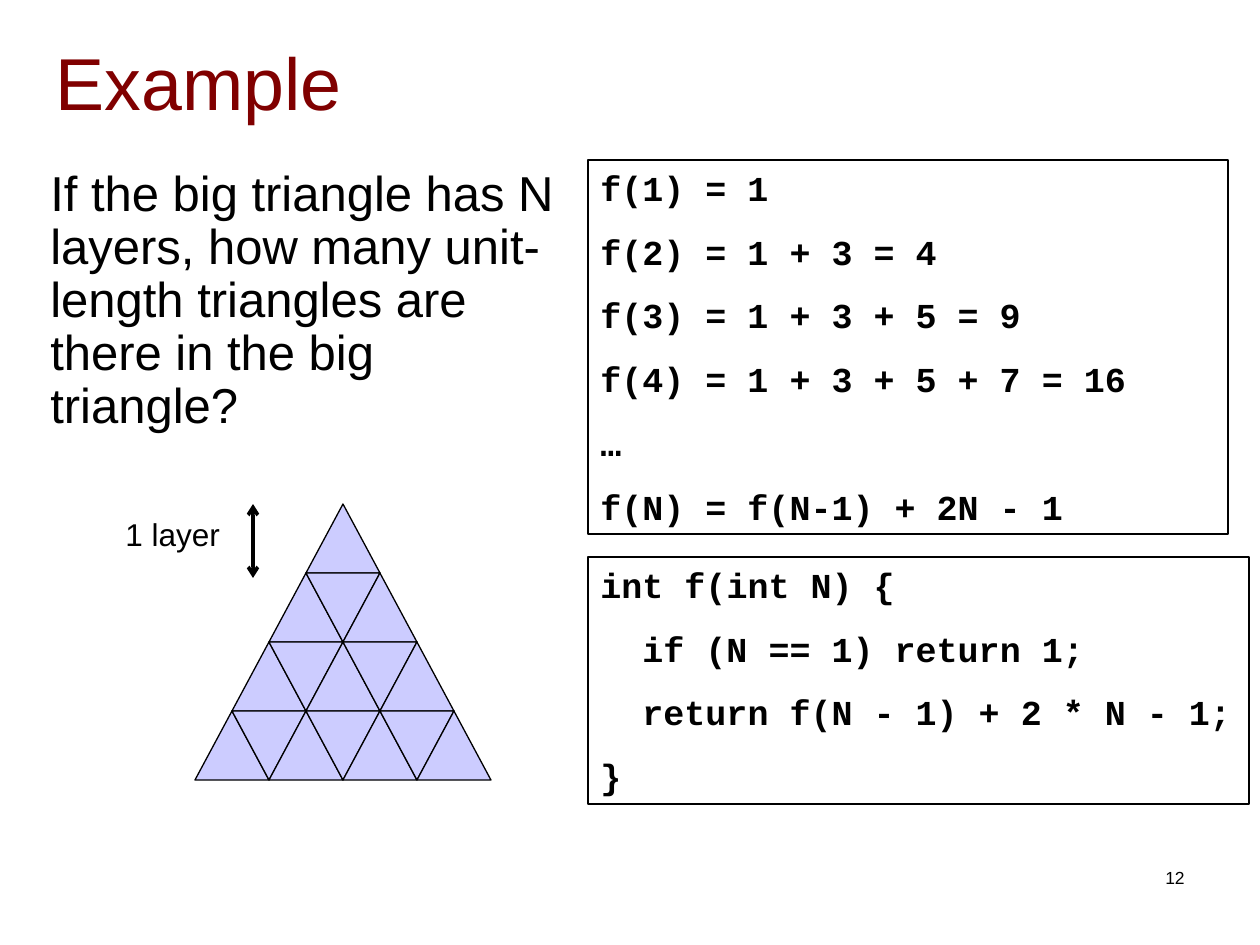
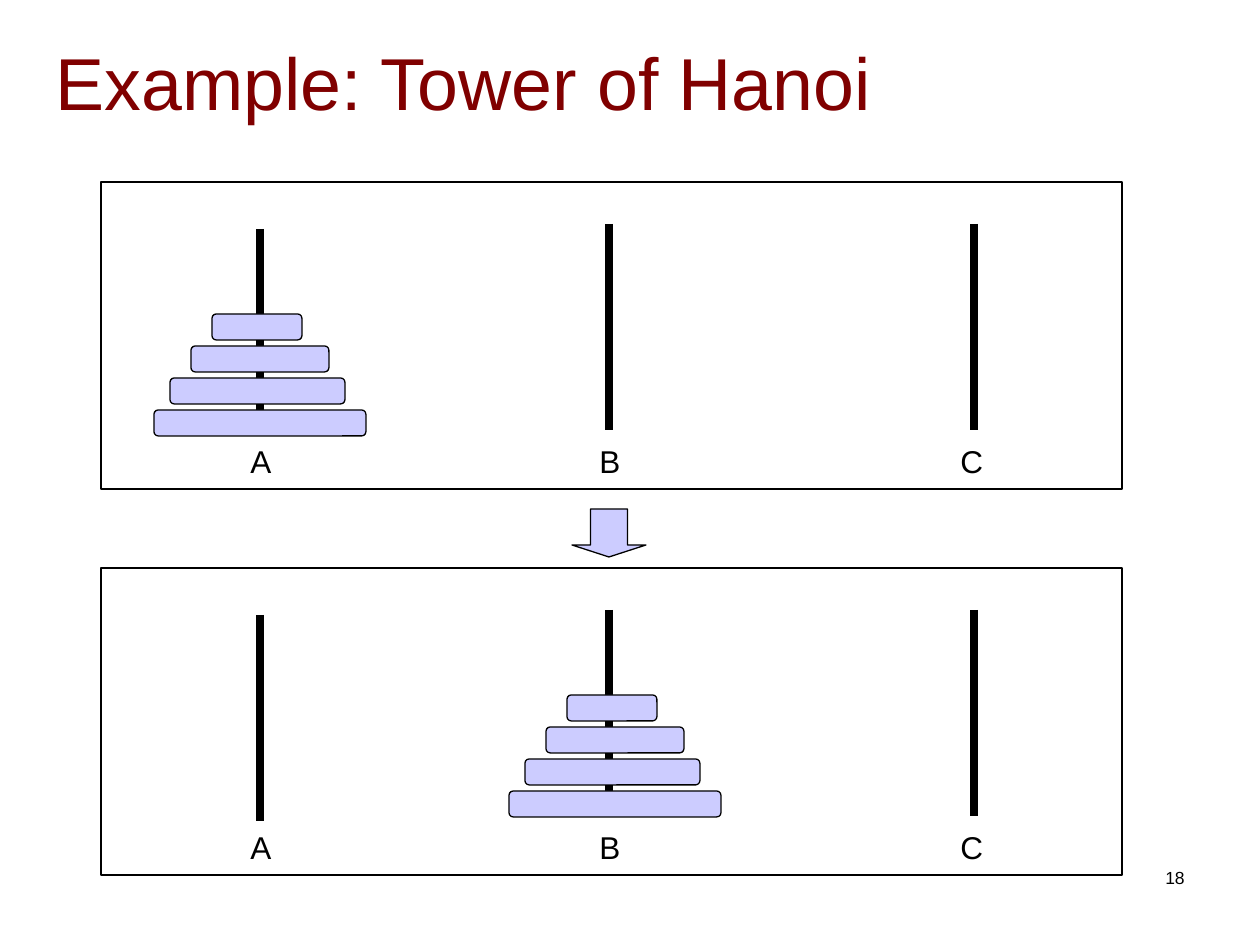
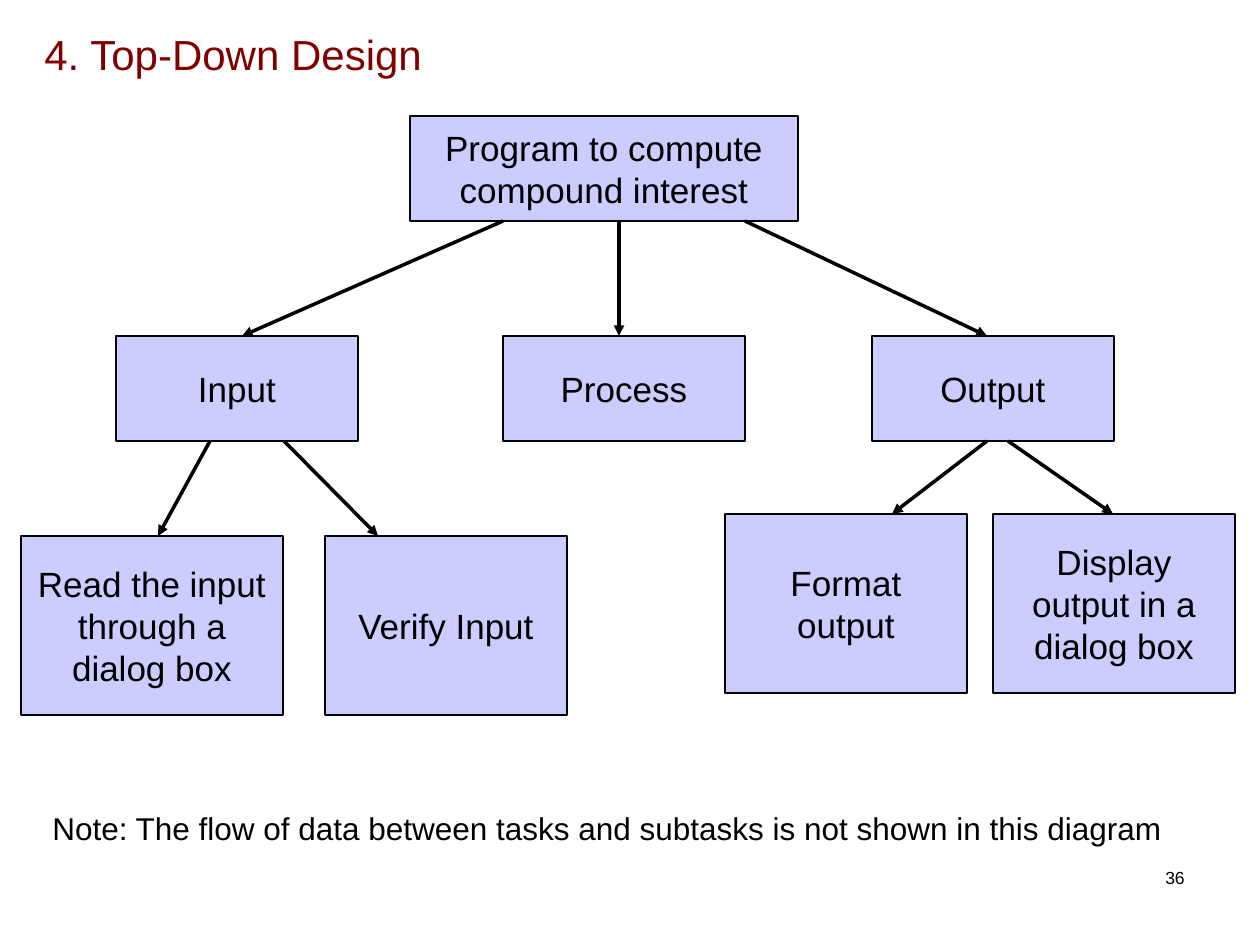
from lxml import etree
from pptx import Presentation
from pptx.dml.color import RGBColor
from pptx.enum.shapes import MSO_CONNECTOR, MSO_SHAPE
from pptx.enum.text import MSO_ANCHOR, MSO_AUTO_SIZE, PP_ALIGN
from pptx.oxml.ns import qn
from pptx.util import Emu, Pt

BLACK = RGBColor(0x00, 0x00, 0x00)
MAROON = RGBColor(0x80, 0x00, 0x00)
LAVENDER = RGBColor(0xCC, 0xCC, 0xFF)
SANS, MONO = "Arial", "Courier New"
LEFT, CENTER, RIGHT = PP_ALIGN.LEFT, PP_ALIGN.CENTER, PP_ALIGN.RIGHT
TOP, MIDDLE = MSO_ANCHOR.TOP, MSO_ANCHOR.MIDDLE
FIT = MSO_AUTO_SIZE.SHAPE_TO_FIT_TEXT
STRAIGHT = MSO_CONNECTOR.STRAIGHT
RECT = MSO_SHAPE.RECTANGLE
ROUND_RECT = MSO_SHAPE.ROUNDED_RECTANGLE
TRIANGLE = MSO_SHAPE.ISOSCELES_TRIANGLE
DOWN_ARROW = MSO_SHAPE.DOWN_ARROW
PX_PER_INCH = 126


def px(*lengths):
    return [Emu(round(n * 914400 / PX_PER_INCH)) for n in lengths]


def write(sp, lines, size=18, color=BLACK, font=SANS, bold=False, align=LEFT,
          anchor=TOP, wrap=True, fit=False, before=0, spacing=None, indents=()):
    tf = sp.text_frame
    tf.word_wrap = wrap
    tf.vertical_anchor = anchor
    if fit:
        tf.auto_size = FIT
    for i, line in enumerate(lines.split("\n")):
        p = tf.add_paragraph() if i else tf.paragraphs[0]
        p.alignment = align
        p.space_before = Pt(before)
        if spacing:
            p.line_spacing = spacing
        if i in indents:
            p._p.get_or_add_pPr().set("marL", str(px(42)[0]))
        r = p.add_run()
        r.text = line
        r.font.name, r.font.size, r.font.bold = font, Pt(size), bold
        r.font.color.rgb = color


class Deck:
    def __init__(self):
        self.prs = Presentation()
        self.prs.slide_width, self.prs.slide_height = px(1260, 945)

    def slide(self, title, number, title_box=(43, 18, 1181, 127), title_size=42):
        self.s = self.prs.slides.add_slide(self.prs.slide_layouts[6])
        self.text(title_box, title, size=title_size, color=MAROON, anchor=MIDDLE)
        self.text((903, 861, 294, 63), str(number), size=10, align=RIGHT)

    def text(self, box, lines, **style):
        write(self.s.shapes.add_textbox(*px(*box)), lines, **style)

    def label(self, box, text):
        self.text(box, text, wrap=False, fit=True)

    def shape(self, kind, box, fill=LAVENDER, rotation=0):
        sp = self.s.shapes.add_shape(kind, *px(*box))
        sp.shadow.inherit = False
        sp.rotation = rotation
        if fill is None:
            sp.fill.background()
        else:
            sp.fill.solid()
            sp.fill.fore_color.rgb = fill
        sp.line.color.rgb = BLACK
        sp.line.width = Pt(0.75)
        return sp

    def code(self, box, lines, indents=()):
        write(self.shape(RECT, box, fill=None), lines, size=20, font=MONO,
              bold=True, fit=True, before=12.5, indents=indents)

    def task(self, box, text):
        write(self.shape(RECT, box), text, size=20, align=CENTER, anchor=MIDDLE)

    def line(self, ends, width=2, head=None, tail=None):
        sp = self.s.shapes.add_connector(STRAIGHT, *px(*ends))
        sp.line.color.rgb = BLACK
        sp.line.width = Pt(width)
        ln = sp.line._get_or_add_ln()
        for tag, kind in (("a:headEnd", head), ("a:tailEnd", tail)):
            if kind:
                etree.SubElement(ln, qn(tag)).set("type", kind)
        etree.SubElement(sp._element.spPr, qn("a:effectLst"))


def triangle_slide(deck):
    deck.slide("Example", 12)
    deck.text((38, 163, 529, 289),
              "If the big triangle has N layers, how many unit-length triangles "
              "are there in the big triangle?", size=28, before=7, spacing=0.9)
    half, height = 37, 69
    for layer in range(4):
        for i in range(2 * layer + 1):
            box = (306 + half * (i - layer), 504 + height * layer, 2 * half, height)
            deck.shape(TRIANGLE, box, rotation=180 * (i % 2))
    deck.line((253, 504, 253, 578), head="arrow", tail="arrow")
    deck.label((113, 509, 120, 50), "1 layer")
    deck.code((588, 160, 640, 374),
              "f(1) = 1\nf(2) = 1 + 3 = 4\nf(3) = 1 + 3 + 5 = 9\n"
              "f(4) = 1 + 3 + 5 + 7 = 16\n…\nf(N) = f(N-1) + 2N - 1")
    deck.code((588, 557, 661, 247),
              "int f(int N) {\nif (N == 1) return 1;\n"
              "return f(N - 1) + 2 * N - 1;\n}", indents=(1, 2))


def hanoi_slide(deck):
    deck.slide("Example: Tower of Hanoi", 18)
    pegs = {"A": (260, 47, 238), "B": (609, 42, 587), "C": (974, 42, 948)}
    discs = ((0, 90), (-21, 138), (-42, 175), (-58, 212))
    for top, full_peg, stack_x in ((182, "A", 212), (568, "B", 567)):
        deck.shape(RECT, (101, top, 1021, 307), fill=None)
        for name, (x, drop, label_x) in pegs.items():
            y = top + drop
            deck.line((x, y, x, y + 206), width=5)
            deck.label((label_x, top + 254, 46, 50), name)
            if name == full_peg:
                for i, (shift, width) in enumerate(discs):
                    deck.shape(ROUND_RECT, (stack_x + shift, y + 85 + 32 * i, width, 26))
    deck.shape(DOWN_ARROW, (572, 509, 74, 48)).adjustments[1] = 0.25


def design_slide(deck):
    deck.slide("4. Top-Down Design", 36, (32, 23, 471, 62), 24)
    deck.task((410, 116, 388, 105), "Program to compute compound interest")
    for x, name in ((116, "Input"), (503, "Process"), (872, "Output")):
        deck.task((x, 336, 242, 105), name)
    for x, y, width, name in (
            (21, 536, 262, "Read the input through a dialog box"),
            (325, 536, 242, "Verify Input"),
            (725, 514, 242, "Format output"),
            (993, 514, 242, "Display output in a dialog box")):
        deck.task((x, y, width, 179), name)
    for x1, y1, x2, y2 in (
            (503, 221, 242, 336), (619, 221, 619, 336), (745, 221, 987, 336),
            (210, 441, 158, 536), (284, 441, 378, 536),
            (987, 441, 892, 514), (1008, 441, 1113, 514)):
        deck.line((x1, y1, x2, y2), tail="triangle")
    deck.label((40, 803, 1135, 50),
               "Note: The flow of data between tasks and subtasks is not shown in this diagram")


def main():
    deck = Deck()
    triangle_slide(deck)
    hanoi_slide(deck)
    design_slide(deck)
    deck.prs.save("out.pptx")


if __name__ == "__main__":
    main()
